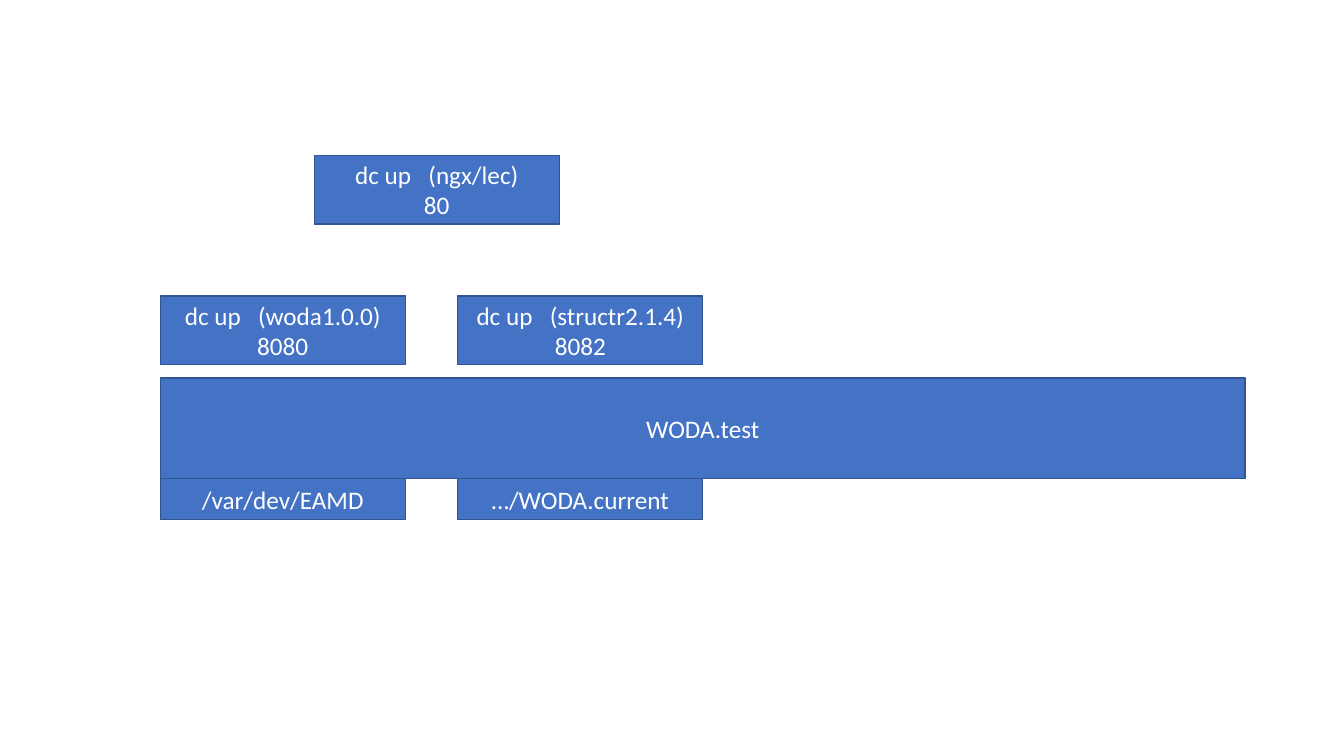
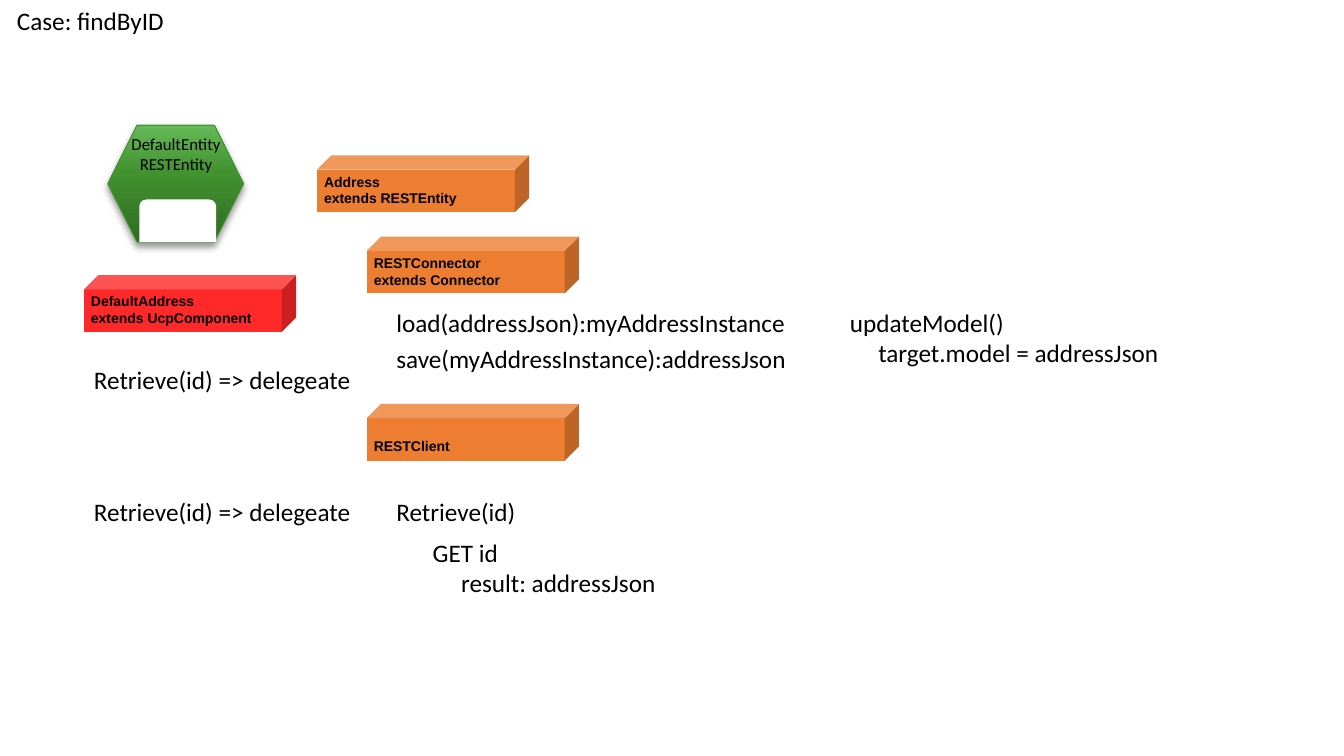
from copy import deepcopy
from dataclasses import dataclass
from typing import NamedTuple

from lxml.etree import SubElement
from pptx import Presentation
from pptx.dml.color import RGBColor as Rgb
from pptx.enum.shapes import MSO_SHAPE as Preset
from pptx.enum.text import MSO_ANCHOR as Anchor, MSO_AUTO_SIZE as AutoSize, PP_ALIGN as Align
from pptx.oxml.ns import qn
from pptx.shapes.autoshape import Shape
from pptx.slide import Slide
from pptx.text.text import TextFrame
from pptx.util import Pt


@dataclass(frozen=True)
class Theme:
    blue: Rgb = Rgb.from_string("4472C4")
    blue_edge: Rgb = Rgb.from_string("325491")
    orange: Rgb = Rgb.from_string("ED7D31")
    red: Rgb = Rgb.from_string("FF2929")
    green_edge: Rgb = Rgb.from_string("439631")
    greens: tuple[tuple[float, str], ...] = ((0, "2F6B22"), (0.6, "429230"), (1, "66B959"))
    white: Rgb = Rgb.from_string("FFFFFF")
    black: Rgb = Rgb.from_string("000000")
    body_font: str = "Calibri"
    class_font: str = "Arial"
    body_size: float = 18
    label_size: float = 12
    class_size: float = 10
    run_gap: float = 8.15
    indent: float = 20.3


THEME = Theme()


class Line(NamedTuple):
    """One paragraph; several runs are set apart by a wide gap."""
    runs: tuple[str, ...]
    indent: float = 0


class TextStyle(NamedTuple):
    font: str
    size: float
    color: Rgb
    bold: bool = False
    align: Align = Align.LEFT


class Box(NamedTuple):
    left: float
    top: float
    width: float
    height: float
    lines: tuple[Line, ...]


class ClassCube(NamedTuple):
    left: float
    top: float
    color: Rgb
    lines: tuple[Line, ...]
    skipped: float = 0


class Note(NamedTuple):
    left: float
    top: float
    width: float
    lines: tuple[Line, ...]


BOX_TEXT = TextStyle(THEME.body_font, THEME.body_size, THEME.white, align=Align.CENTER)
CUBE_TEXT = TextStyle(THEME.class_font, THEME.class_size, THEME.black, bold=True)
NOTE_TEXT = TextStyle(THEME.body_font, THEME.body_size, THEME.black)
LABEL_TEXT = TextStyle(THEME.body_font, THEME.label_size, THEME.black, align=Align.CENTER)


def plain(*texts: str) -> tuple[Line, ...]:
    return tuple(Line((text,)) for text in texts)


def command(target: str, port: str) -> tuple[Line, ...]:
    return Line(("dc up", target)), Line((port,))


def with_detail(heading: str, detail: str) -> tuple[Line, ...]:
    return Line((heading,)), Line((detail,), THEME.indent)


COLUMNS = (114.5, 327)
BOX_WIDTH = 175
COMMAND_HEIGHT, FOLDER_HEIGHT = 49, 29
COMMAND_TOP, HOST_TOP, HOST_HEIGHT = 211.5, 270, 72
FOLDER_TOP = HOST_TOP + HOST_HEIGHT
COMMANDS = (("(woda1.0.0)", "8080"), ("(structr2.1.4)", "8082"))
FOLDERS = ("/var/dev/EAMD", "…/WODA.current")

CUBE_WIDTH, CUBE_HEIGHT = 151.5, 40.5
CUBES = (
    ClassCube(60, 196.5, THEME.red, plain("DefaultAddress", "extends UcpComponent")),
    ClassCube(226.5, 111, THEME.orange, plain("Address", "extends RESTEntity")),
    ClassCube(262, 288.5, THEME.orange, plain("RESTClient"), skipped=11.5),
    ClassCube(262, 169, THEME.orange, plain("RESTConnector", "extends Connector")),
)

CALLER_LEFT, METHOD_LEFT = 60, 276
NOTES = (
    Note(5, 0, 121, plain("Case: findByID")),
    Note(CALLER_LEFT, 257, 200, plain("Retrieve(id) => delegeate")),
    Note(CALLER_LEFT, 351, 200, plain("Retrieve(id) => delegeate")),
    Note(METHOD_LEFT, 216, 299.5, plain("load(addressJson):myAddressInstance")),
    Note(METHOD_LEFT, 242, 296, plain("save(myAddressInstance):addressJson")),
    Note(METHOD_LEFT, 351, 101, plain("Retrieve(id)")),
    Note(302, 380, 175.5, with_detail("GET id", "result: addressJson")),
    Note(600, 216, 242, with_detail("updateModel()", "target.model = addressJson")),
)


def write(frame: TextFrame, lines: tuple[Line, ...], style: TextStyle) -> None:
    for index, line in enumerate(lines):
        paragraph = frame.add_paragraph() if index else frame.paragraphs[0]
        paragraph.alignment = style.align
        if line.indent:
            paragraph._p.get_or_add_pPr().set("marL", str(Pt(line.indent)))
        for position, text in enumerate(line.runs):
            for part in ((" ", text) if position else (text,)):
                run = paragraph.add_run()
                run.text = part
                run.font.name = style.font
                run.font.size = Pt(style.size)
                run.font.bold = style.bold
                run.font.color.rgb = style.color
                if part == " ":
                    run.font._element.set("spc", str(round(THEME.run_gap * 100)))


def add_preset(shapes, preset: Preset, left: float, top: float, width: float, height: float,
               fill: Rgb | None = None, edge: Rgb | None = None, edge_width: float = 1) -> Shape:
    shape = shapes.add_shape(preset, Pt(left), Pt(top), Pt(width), Pt(height))
    shape.shadow.inherit = False
    if fill is not None:
        shape.fill.solid()
        shape.fill.fore_color.rgb = fill
    if edge is None:
        shape.line.fill.background()
    else:
        shape.line.color.rgb = edge
        shape.line.width = Pt(edge_width)
    return shape


def add_box(slide: Slide, box: Box) -> None:
    shape = add_preset(slide.shapes, Preset.RECTANGLE, box.left, box.top, box.width, box.height,
                       THEME.blue, THEME.blue_edge)
    shape.text_frame.vertical_anchor = Anchor.MIDDLE
    write(shape.text_frame, box.lines, BOX_TEXT)


def add_cube(slide: Slide, cube: ClassCube) -> None:
    shape = add_preset(slide.shapes, Preset.CUBE, cube.left, cube.top,
                       CUBE_WIDTH, CUBE_HEIGHT, cube.color)
    frame = shape.text_frame
    frame.margin_left = frame.margin_right = Pt(5)
    frame.margin_top = Pt(2.5 + cube.skipped)
    frame.margin_bottom = Pt(2.5)
    frame.vertical_anchor = Anchor.TOP
    write(frame, cube.lines, CUBE_TEXT)


def add_note(slide: Slide, note: Note, style: TextStyle = NOTE_TEXT) -> None:
    height = 7.2 + 1.22 * style.size * len(note.lines)
    box = slide.shapes.add_textbox(Pt(note.left), Pt(note.top), Pt(note.width), Pt(height))
    box.text_frame.word_wrap = False
    box.text_frame.auto_size = AutoSize.SHAPE_TO_FIT_TEXT
    write(box.text_frame, note.lines, style)


def shade_green(shape: Shape) -> None:
    shape.fill.gradient()
    shape.fill.gradient_angle = 90
    stop_list = shape.element.find(f".//{qn('a:gsLst')}")
    stop_list.append(deepcopy(stop_list[-1]))
    for stop, (position, color) in zip(shape.fill.gradient_stops, THEME.greens):
        stop.position = position
        stop.color.rgb = Rgb.from_string(color)


def drop_shadow(shape: Shape, blur: float, distance: float, opacity: int) -> None:
    effects = shape.element.spPr.find(qn("a:effectLst"))
    shadow = SubElement(effects, qn("a:outerShdw"), blurRad=str(Pt(blur)), dist=str(Pt(distance)),
                        dir="5400000", rotWithShape="0")
    color = SubElement(shadow, qn("a:srgbClr"), val=str(THEME.black))
    SubElement(color, qn("a:alpha"), val=str(opacity * 1000))


def add_entity(slide: Slide) -> None:
    """Draw the green hexagon with its white opening and its label."""
    group = slide.shapes.add_group_shape()
    hexagon = add_preset(group.shapes, Preset.HEXAGON, 77, 89.5, 97, 83.5,
                         edge=THEME.green_edge, edge_width=0.75)
    shade_green(hexagon)
    drop_shadow(hexagon, blur=5.2, distance=3, opacity=40)
    add_preset(group.shapes, Preset.ROUND_2_SAME_RECTANGLE, 99.5, 142.5, 55, 30.5, THEME.white)
    add_note(slide, Note(86.5, 92, 78.5, plain("DefaultEntity", "RESTEntity")), LABEL_TEXT)


def build_ports(slide: Slide) -> None:
    host_width = 775
    add_box(slide, Box(COLUMNS[0], HOST_TOP, host_width, HOST_HEIGHT, plain("WODA.test")))
    for left, (target, port), folder in zip(COLUMNS, COMMANDS, FOLDERS):
        add_box(slide, Box(left, COMMAND_TOP, BOX_WIDTH, COMMAND_HEIGHT, command(target, port)))
        add_box(slide, Box(left, FOLDER_TOP, BOX_WIDTH, FOLDER_HEIGHT, plain(folder)))
    add_box(slide, Box(224.5, 111, BOX_WIDTH, COMMAND_HEIGHT, command("(ngx/lec)", "80")))


def build_find_by_id(slide: Slide) -> None:
    add_entity(slide)
    for cube in CUBES:
        add_cube(slide, cube)
    for note in NOTES:
        add_note(slide, note)


def main() -> None:
    presentation = Presentation()
    presentation.slide_width, presentation.slide_height = Pt(960), Pt(540)
    blank = presentation.slide_layouts[6]
    for build in (build_ports, build_find_by_id):
        build(presentation.slides.add_slide(blank))
    presentation.save("out.pptx")


if __name__ == "__main__":
    main()
